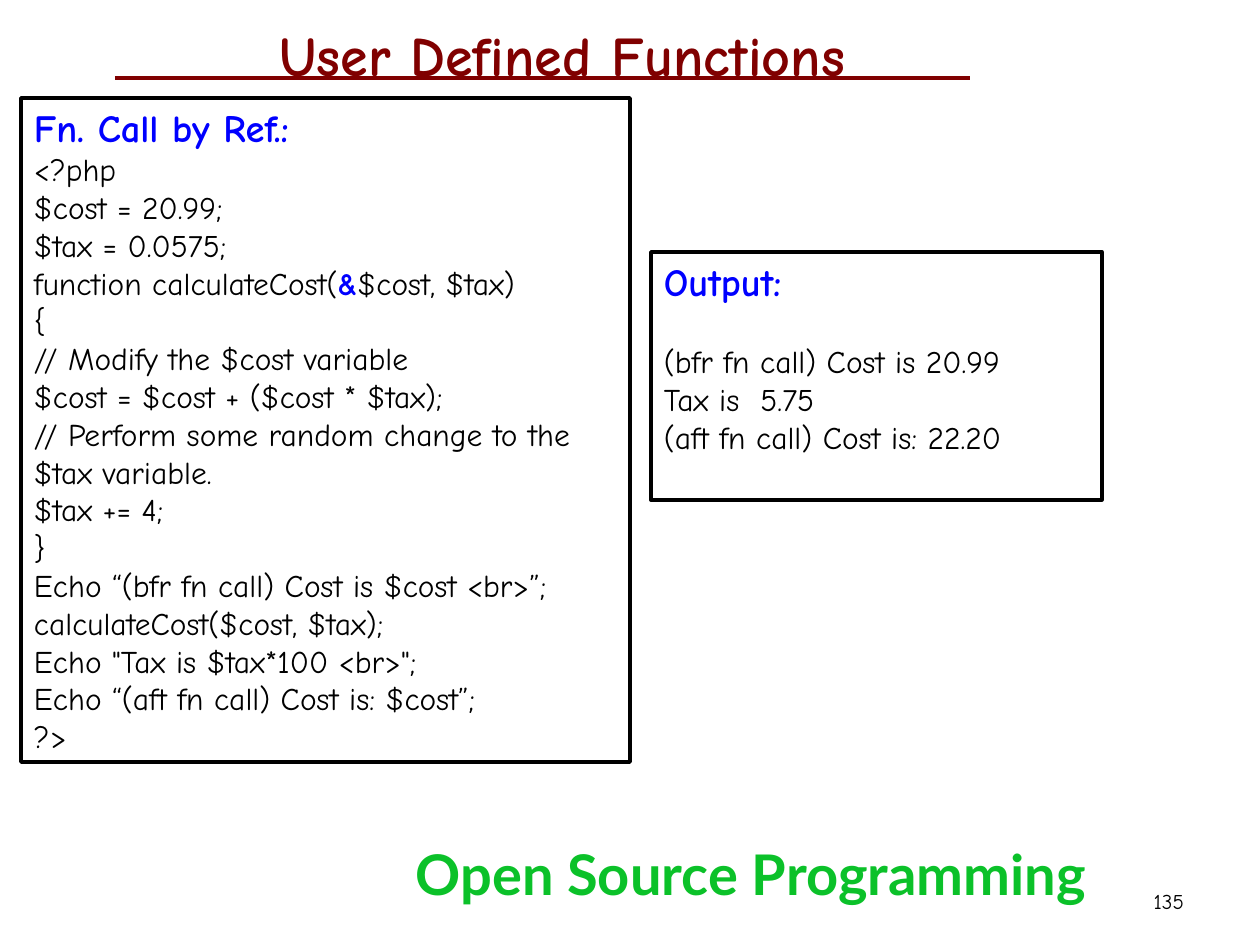
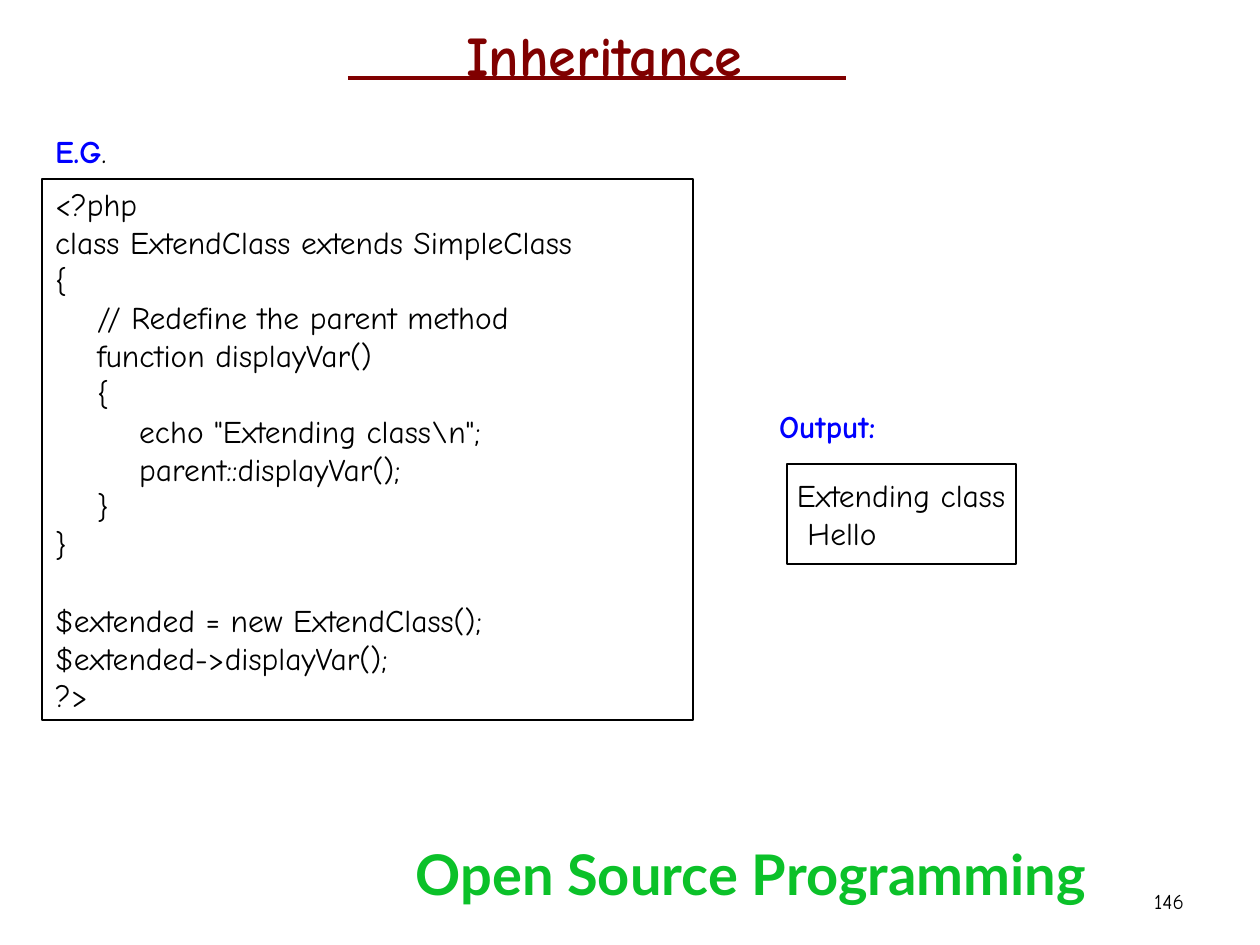
"""Two lecture slides on PHP functions and inheritance, with code and output boxes."""
from pptx import Presentation, util as u
from pptx.dml.color import RGBColor
from pptx.enum import shapes, text
from lxml import etree

BLACK = RGBColor(0x00, 0x00, 0x00)
BLUE = RGBColor(0x00, 0x00, 0xFF)
MAROON = RGBColor(0x80, 0x00, 0x00)
GREEN = RGBColor(0x0B, 0xC1, 0x29)
COMIC = "Comic Neue"
PX = u.Inches(1) / 126
GAP = u.Pt(21.6)
A_NS = "http://schemas.openxmlformats.org/drawingml/2006/main"


def style(size, color, bold=False, name=COMIC):
    return {"color": color, "font": {"size": u.Pt(size), "bold": bold, "name": name}}


CODE = style(18, BLACK)
MARK = style(18, BLUE, True)
HEAD = style(22, BLUE, True)
TITLE = style(32, MAROON, True)
BRAND = style(32, GREEN, True, "Lato")
PAGE = style(12, BLACK)

LEFT, MID, RIGHT = text.PP_ALIGN.LEFT, text.PP_ALIGN.CENTER, text.PP_ALIGN.RIGHT
TOP, CENTER = text.MSO_ANCHOR.TOP, text.MSO_ANCHOR.MIDDLE
INSET = (13, 6)

CALL = [
    [("Fn. Call by Ref.:", HEAD)],
    "<?php",
    "$cost = 20.99;",
    "$tax = 0.0575;",
    ["function calculateCost(", ("&", MARK), "$cost, $tax)"],
    "{",
    "// Modify the $cost variable",
    "$cost = $cost + ($cost * $tax);",
    "// Perform some random change to the $tax variable.",
    "$tax += 4;",
    "}",
    "Echo “(bfr fn call) Cost is $cost <br>”;",
    "calculateCost($cost, $tax);",
    'Echo "Tax is $tax*100 <br>";',
    "Echo “(aft fn call) Cost is: $cost”;",
    "?>",
]
COSTS = [
    [("Output:", HEAD)],
    "(bfr fn call) Cost is 20.99",
    "Tax is  5.75",
    "(aft fn call) Cost is: 22.20",
]
EXTEND = [
    "<?php",
    "class ExtendClass extends SimpleClass",
    "{",
    "    // Redefine the parent method",
    "    function displayVar()",
    "    {",
    '        echo "Extending class\\n";',
    "        parent::displayVar();",
    "    }",
    "}",
    "$extended = new ExtendClass();",
    "$extended->displayVar();",
    "?>",
]

SLIDES = [
    {"title": "User Defined Functions ", "span": (95, 955), "rule": (115, 970), "page": "135",
     "boxes": [
         {"at": (21, 98, 609, 664), "lines": CALL, "edge": 2},
         {"at": (651, 252, 451, 248), "lines": COSTS, "edge": 2, "gap": 1},
     ]},
    {"title": "Inheritance ", "span": (336, 557), "rule": (348, 846), "page": "146",
     "boxes": [
         {"at": (42, 179, 651, 541), "lines": EXTEND, "edge": 1, "gap": 10},
         {"at": (787, 464, 229, 100), "lines": ["Extending class", " Hello"], "edge": 1,
          "anchor": CENTER, "inset": (10, 11), "wrap": False},
         {"at": (42, 126, 284, 50), "lines": [[("E.G", MARK), "."]]},
         {"at": (766, 401, 284, 50), "lines": [[("Output:", MARK)]]},
     ]},
]


def scale(nums):
    return [round(n * PX) for n in nums]


def write(shape, lines, look=CODE, align=LEFT, anchor=TOP, inset=INSET, wrap=True, gap=None):
    frame = shape.text_frame
    side, edge = scale(inset)
    form = {"margin_left": side, "margin_right": side, "margin_top": edge,
            "margin_bottom": edge, "auto_size": text.MSO_AUTO_SIZE.NONE,
            "word_wrap": wrap, "vertical_anchor": anchor}
    for key, val in form.items():
        setattr(frame, key, val)
    for num, line in enumerate(lines):
        para = frame.add_paragraph() if num else frame.paragraphs[0]
        para.alignment = align
        if num and num == gap:
            para.space_before = GAP
        for part in [line] if isinstance(line, str) else line:
            words, face = (part, look) if isinstance(part, str) else part
            run = para.add_run()
            run.text = words
            for key, val in face["font"].items():
                setattr(run.font, key, val)
            run.font.color.rgb = face["color"]


def add_box(slide, at, lines, edge=None, **form):
    place = scale(at)
    if edge:
        box = slide.shapes.add_shape(shapes.MSO_SHAPE.RECTANGLE, *place)
        box.shadow.inherit = False
        box.fill.background()
        box.line.color.rgb = BLACK
        box.line.width = u.Pt(edge)
    else:
        box = slide.shapes.add_textbox(*place)
    write(box, lines, **form)


def add_title(slide, words, span, rule):
    head = slide.shapes.title
    place = scale((span[0], 15, span[1], 81))
    for key, val in zip(("left", "top", "width", "height"), place):
        setattr(head, key, val)
    write(head, [words], TITLE, MID)
    ends = scale((rule[0], 78, rule[1], 78))
    line = slide.shapes.add_connector(shapes.MSO_CONNECTOR.STRAIGHT, *ends)
    line.line.color.rgb = MAROON
    line.line.width = u.Pt(2)
    etree.SubElement(line._element.spPr, f"{{{A_NS}}}effectLst")


def main():
    deck = Presentation()
    deck.slide_width, deck.slide_height = u.Inches(10), u.Inches(7.5)
    for data in SLIDES:
        slide = deck.slides.add_slide(deck.slide_layouts[5])
        add_title(slide, data["title"], data["span"], data["rule"])
        for box in data["boxes"]:
            add_box(slide, **box)
        add_box(slide, (378, 834, 746, 100), ["Open Source Programming"], look=BRAND, align=MID)
        add_box(slide, (903, 876, 294, 50), [data["page"]], look=PAGE, align=RIGHT, anchor=CENTER)
    deck.save("out.pptx")


if __name__ == "__main__":
    main()
